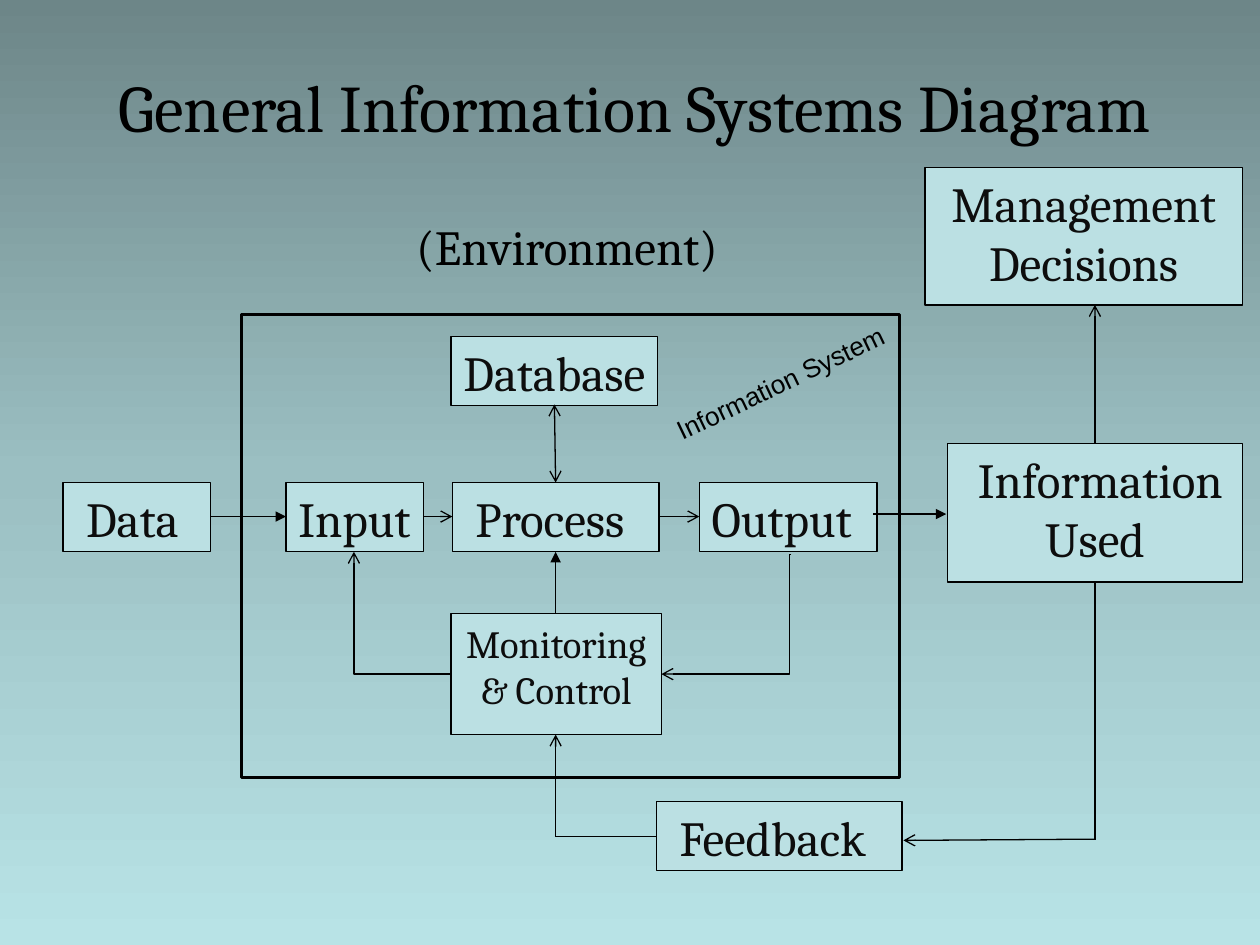
from copy import deepcopy
from pptx import Presentation
from pptx.dml.color import RGBColor
from pptx.enum import shapes as sh, text as tx
from pptx.oxml import ns
from pptx.oxml.xmlchemy import OxmlElement
from pptx.util import Inches, Pt

BLACK = RGBColor(0, 0, 0)
INK = RGBColor(0x0D, 0x0D, 0x0D)
PALE = RGBColor(0xBB, 0xE0, 0xE3)
SKY = [(0, RGBColor(0x6D, 0x86, 0x88)),
       (0.5, RGBColor(0x9B, 0xBF, 0xC2)),
       (1, RGBColor(0xB8, 0xE3, 0xE6))]
LEFT, MID = tx.PP_ALIGN.LEFT, tx.PP_ALIGN.CENTER

# Shared heights and axes
ROW, TALL = 3.83, 0.55
FLOW, CORE, SIDE, BACK = 4.1, 4.41, 8.69, 6.64

# Text, left, top, width, height, size, alignment
BOXES = [
    (" Data", 0.5, ROW, 1.17, TALL, 28, LEFT),
    ("Input", 2.27, ROW, 1.09, TALL, 28, LEFT),
    (" Process", 3.59, ROW, 1.64, TALL, 28, LEFT),
    ("Output", 5.55, ROW, 1.41, TALL, 28, LEFT),
    ("Database", 3.58, 2.67, 1.64, TALL, 28, LEFT),
    (" Feedback", 5.21, 6.36, 1.95, TALL, 28, LEFT),
    ("Monitoring\n& Control", 3.58, 4.87, 1.67, 0.96, 22, MID),
    (" Information\nUsed", 7.52, 3.52, 2.34, 1.1, 28, MID),
    ("Management Decisions", 7.34, 1.33, 2.52, 1.09, 28, MID),
]

# Start x, y, end x, y, head, tail
LINES = [
    (1.67, FLOW, 2.27, FLOW, None, "triangle"),
    (3.36, FLOW, 3.59, FLOW, None, "arrow"),
    (5.23, FLOW, 5.55, FLOW, None, "arrow"),
    (6.93, 4.08, 7.51, 4.08, None, "triangle"),
    (4.4, 3.21, CORE, ROW, "arrow", "arrow"),
    (CORE, 4.87, CORE, 4.38, None, "triangle"),
    (SIDE, 3.52, SIDE, 2.42, None, "arrow"),
    (SIDE, 4.62, SIDE, 6.67, None, None),
    (SIDE, 6.66, 7.17, 6.67, None, "arrow"),
    (CORE, BACK, 5.21, BACK, None, None),
    (CORE, BACK, CORE, 5.83, None, "arrow"),
]


def paint(slide):
    fill = slide.background.fill
    fill.gradient()
    fill.gradient_angle = 270
    last = fill.gradient_stops[1]._gs
    last.addnext(deepcopy(last))
    for stop, (pos, color) in zip(fill.gradient_stops, SKY):
        stop.position = pos
        stop.color.rgb = color


def write(shape, words, size, align=MID, font="Cambria", color=BLACK):
    frame = shape.text_frame
    frame.text = words
    frame.word_wrap = True
    frame.auto_size = tx.MSO_AUTO_SIZE.NONE
    frame.vertical_anchor = tx.MSO_ANCHOR.TOP
    for par in frame.paragraphs:
        par.alignment = align
        par.font.name = font
        par.font.size = Pt(size)
        par.font.color.rgb = color


def rect(slide, left, top, wide, high, weight=0.75):
    box = slide.shapes.add_shape(sh.MSO_SHAPE.RECTANGLE, Inches(left),
                                 Inches(top), Inches(wide), Inches(high))
    box.shadow.inherit = False
    box.fill.background()
    box.line.color.rgb = BLACK
    box.line.width = Pt(weight)
    return box


def node(slide, words, left, top, wide, high, size, align):
    box = rect(slide, left, top, wide, high)
    box.fill.solid()
    box.fill.fore_color.rgb = PALE
    write(box, words, size, align, color=INK)
    if align == LEFT:
        box.text_frame.margin_right = Inches(0.05)


def label(slide, words, left, top, wide, high, size, font="Cambria", turn=0):
    box = slide.shapes.add_textbox(Inches(left), Inches(top),
                                   Inches(wide), Inches(high))
    box.rotation = turn
    write(box, words, size, font=font)


def link(slide, x1, y1, x2, y2, head=None, tail=None,
         kind=sh.MSO_CONNECTOR.STRAIGHT):
    wire = slide.shapes.add_connector(kind, Inches(x1), Inches(y1),
                                      Inches(x2), Inches(y2))
    wire.line.color.rgb = BLACK
    wire.line.width = Pt(0.75)
    for tag, tip in (("a:headEnd", head), ("a:tailEnd", tail)):
        if tip:
            end = OxmlElement(tag)
            end.set("type", tip)
            wire.line._get_or_add_ln().append(end)
    wire._element.spPr.append(OxmlElement("a:effectLst"))
    return wire


def bend(slide, x1, y1, x2, y2, form, adj=None):
    wire = link(slide, x1, y1, x2, y2, None, "arrow", sh.MSO_CONNECTOR.ELBOW)
    geom = wire._element.spPr.find(ns.qn("a:prstGeom"))
    geom.set("prst", form)
    if adj is not None:
        guide = OxmlElement("a:gd")
        guide.set("name", "adj1")
        guide.set("fmla", f"val {adj}")
        geom.get_or_add_avLst().append(guide)


def main():
    prs = Presentation()
    prs.slide_width, prs.slide_height = Inches(10), Inches(7.5)
    slide = prs.slides.add_slide(prs.slide_layouts[5])
    paint(slide)

    # Title
    title = slide.shapes.title
    title.left, title.top = Inches(0.78), Inches(0.47)
    title.width, title.height = Inches(8.52), Inches(0.74)
    write(title, "General Information Systems Diagram", 38)

    # System frame and boxes
    rect(slide, 1.92, 2.5, 5.22, 3.67, 1.75)
    for box in BOXES:
        node(slide, *box)

    # Arrows
    for line in LINES:
        link(slide, *line)
    bend(slide, 6.28, 4.4, 5.25, 5.35, "bentConnector3", 1500)
    bend(slide, 3.58, 5.35, 2.81, 4.38, "bentConnector2")

    # Labels
    label(slide, "(Environment)", 2.08, 1.67, 4.84, TALL, 28)
    label(slide, "Information System", 5.1, 2.86, 2.18, 0.35, 15,
          "Arial", 334.4)
    prs.save("out.pptx")


main()
